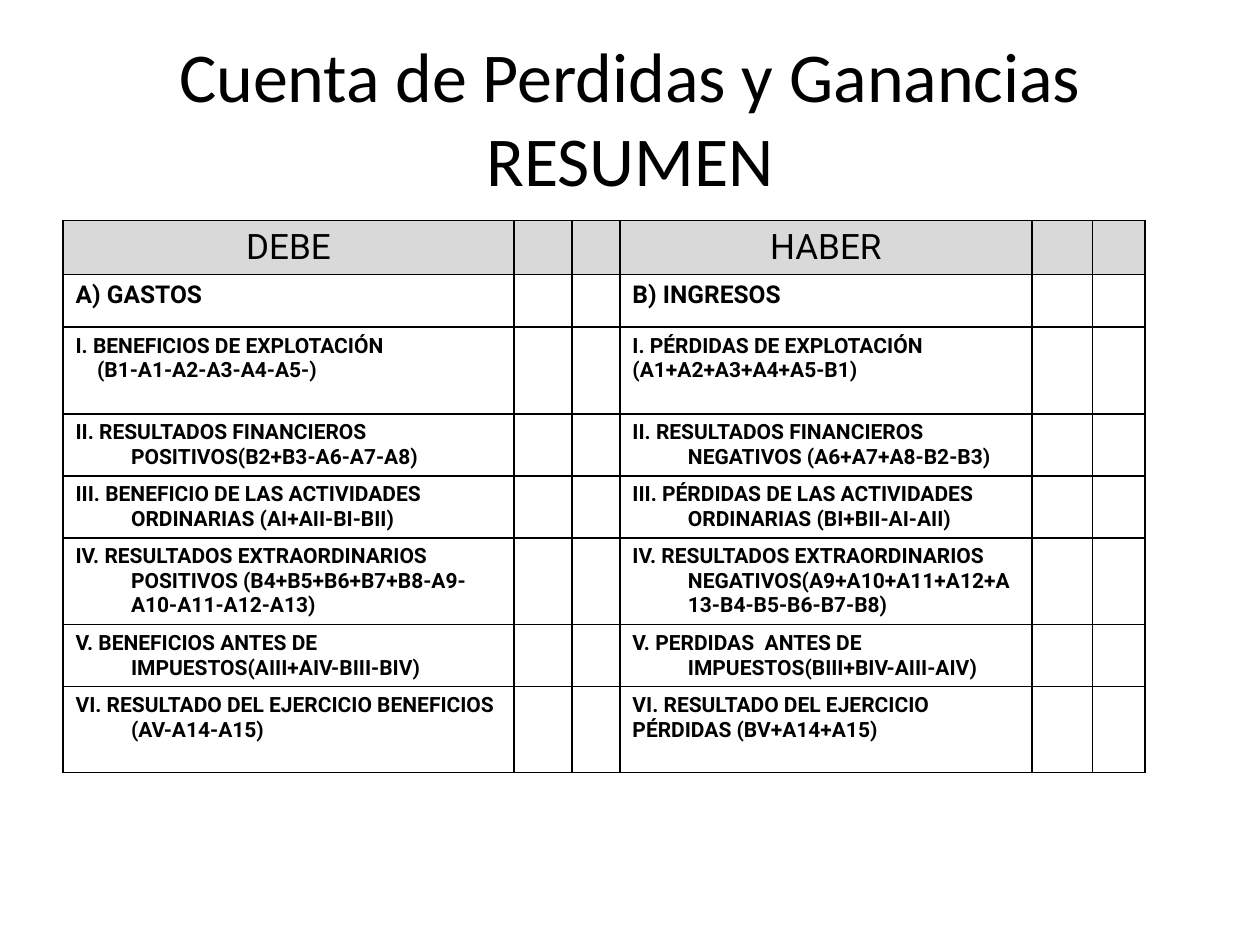
from dataclasses import dataclass

from lxml.etree import SubElement
from pptx import Presentation
from pptx.dml.color import RGBColor
from pptx.enum.text import MSO_ANCHOR, PP_ALIGN
from pptx.oxml import parse_xml
from pptx.oxml.ns import nsdecls, qn
from pptx.util import Inches, Pt

WIDE, HIGH = 10, 7.5
COLORS = {"ink": "000000", "head": "D9D9D9", "page": "FFFFFF"}
# Column widths as shares of the slide width
COLS = (0.358, 0.046, 0.038, 0.327, 0.048, 0.042)
DEBIT, CREDIT = 0, 3
HANG = 0.44


@dataclass
class Line:
    text: str
    left: float = HANG
    first: float = -HANG


@dataclass
class Row:
    """Height is a share of the slide height."""
    high: float
    debit: list[Line]
    credit: list[Line]
    size: int = 12
    bold: bool = True
    fill: str = "page"
    align: PP_ALIGN = PP_ALIGN.LEFT


def flat(text: str) -> Line:
    return Line(text, 0, 0)


ROWS = [
    Row(0.057, [flat("DEBE")], [flat("HABER")], 20, False, "head", PP_ALIGN.CENTER),
    Row(0.056, [flat("A) GASTOS")], [flat("B) INGRESOS")], 14),
    Row(0.092,
        [Line("I. BENEFICIOS DE EXPLOTACIÓN"),
         Line("(B1-A1-A2-A3-A4-A5-)", first=-0.27)],
        [Line("I. PÉRDIDAS DE EXPLOTACIÓN"), Line("(A1+A2+A3+A4+A5-B1)")]),
    Row(0.065,
        [Line("II. RESULTADOS FINANCIEROS POSITIVOS(B2+B3-A6-A7-A8)")],
        [Line("II. RESULTADOS FINANCIEROS NEGATIVOS (A6+A7+A8-B2-B3)")]),
    Row(0.065,
        [Line("III. BENEFICIO DE LAS ACTIVIDADES ORDINARIAS (AI+AII-BI-BII)")],
        [Line("III. PÉRDIDAS DE LAS ACTIVIDADES ORDINARIAS (BI+BII-AI-AII)")]),
    Row(0.092,
        [Line("IV. RESULTADOS EXTRAORDINARIOS POSITIVOS "
              "(B4+B5+B6+B7+B8-A9-A10-A11-A12-A13)")],
        [Line("IV. RESULTADOS EXTRAORDINARIOS "
              "NEGATIVOS(A9+A10+A11+A12+A13-B4-B5-B6-B7-B8)")]),
    Row(0.065,
        [Line("V. BENEFICIOS ANTES DE IMPUESTOS(AIII+AIV-BIII-BIV)")],
        [Line("V. PERDIDAS  ANTES DE IMPUESTOS(BIII+BIV-AIII-AIV)")]),
    Row(0.091,
        [Line("VI. RESULTADO DEL EJERCICIO BENEFICIOS (AV-A14-A15)")],
        [flat("VI. RESULTADO DEL EJERCICIO PÉRDIDAS (BV+A14+A15)")]),
]


def style(font, face: str, size: int, bold: bool = False) -> None:
    font.name, font.size, font.bold = face, Pt(size), bold
    font.color.rgb = RGBColor.from_string(COLORS["ink"])


def border(cell) -> None:
    props = cell._tc.get_or_add_tcPr()
    for spot, side in enumerate("LRTB"):
        edge = parse_xml(f'<a:ln{side} {nsdecls("a")} w="{Pt(1)}"/>')
        fill = SubElement(edge, qn("a:solidFill"))
        SubElement(fill, qn("a:srgbClr"), val=COLORS["ink"])
        props.insert(spot, edge)


def write(cell, lines: list[Line], row: Row) -> None:
    frame = cell.text_frame
    frame.text = "\n".join(line.text for line in lines)
    for para, line in zip(frame.paragraphs, lines):
        para.alignment = row.align
        props = para._p.get_or_add_pPr()
        props.set("marL", str(Inches(line.left)))
        props.set("indent", str(Inches(line.first)))
        style(para.runs[0].font, "Roboto", row.size, row.bold)


def add_title(slide, text: str) -> None:
    box = slide.shapes.add_textbox(
        Inches(0.05 * WIDE), Inches(0.04 * HIGH), Inches(0.9 * WIDE), Inches(1.25))
    frame = box.text_frame
    frame.word_wrap = True
    frame.vertical_anchor = MSO_ANCHOR.MIDDLE
    frame.text = text
    para = frame.paragraphs[0]
    para.alignment = PP_ALIGN.CENTER
    style(para.runs[0].font, "Calibri", 40)


def add_ledger(slide) -> None:
    table = slide.shapes.add_table(
        len(ROWS), len(COLS), Inches(0.05 * WIDE), Inches(1.75),
        Inches(sum(COLS) * WIDE), Inches(sum(r.high for r in ROWS) * HIGH)).table
    for col, share in zip(table.columns, COLS):
        col.width = Inches(share * WIDE)
    for band, row in zip(table.rows, ROWS):
        band.height = Inches(row.high * HIGH)
        for cell in band.cells:
            cell.fill.solid()
            cell.fill.fore_color.rgb = RGBColor.from_string(COLORS[row.fill])
            border(cell)
        write(band.cells[DEBIT], row.debit, row)
        write(band.cells[CREDIT], row.credit, row)


def main() -> None:
    deck = Presentation()
    deck.slide_width, deck.slide_height = Inches(WIDE), Inches(HIGH)
    slide = deck.slides.add_slide(deck.slide_layouts[6])
    add_ledger(slide)
    add_title(slide, "Cuenta de Perdidas y Ganancias RESUMEN")
    deck.save("out.pptx")


if __name__ == "__main__":
    main()
